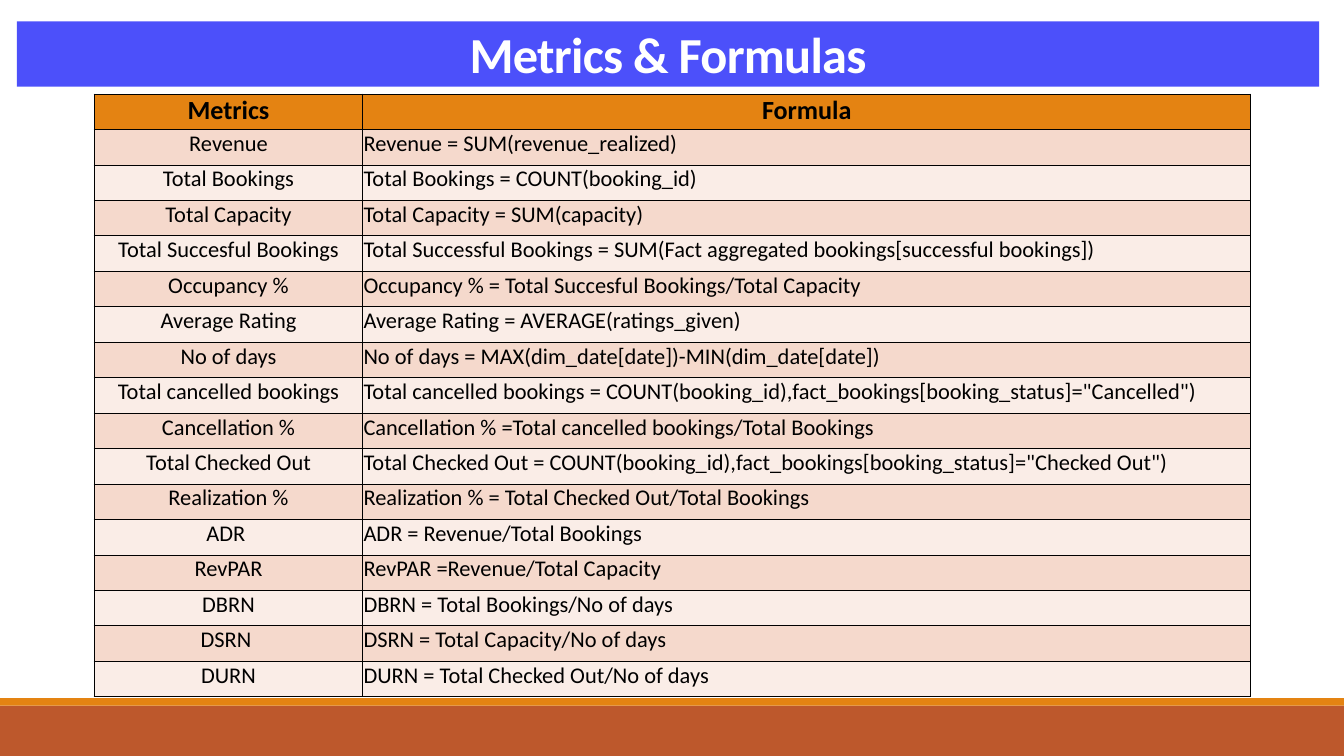
from lxml import etree
from pptx import Presentation
from pptx.dml.color import RGBColor
from pptx.enum.shapes import MSO_SHAPE
from pptx.enum.text import MSO_ANCHOR, PP_ALIGN
from pptx.oxml.ns import qn
from pptx.util import Inches, Pt

RECTANGLE = MSO_SHAPE.RECTANGLE
BOTTOM = MSO_ANCHOR.BOTTOM
LEFT, CENTER = PP_ALIGN.LEFT, PP_ALIGN.CENTER

FONT = "Calibri"
BLACK, WHITE = "000000", "FFFFFF"
BLUE, ORANGE, RUST = "4C50FA", "E48312", "BD582C"
BANDS = ("F5D9CC", "FAEDE7")

HEADINGS = ("Metrics", "Formula")
METRICS = [
    ("Revenue", "Revenue = SUM(revenue_realized)"),
    ("Total Bookings", "Total Bookings = COUNT(booking_id)"),
    ("Total Capacity", "Total Capacity = SUM(capacity)"),
    ("Total Succesful Bookings",
     "Total Successful Bookings = SUM(Fact aggregated bookings[successful bookings])"),
    ("Occupancy %", "Occupancy % = Total Succesful Bookings/Total Capacity"),
    ("Average Rating", "Average Rating = AVERAGE(ratings_given)"),
    ("No of days", "No of days = MAX(dim_date[date])-MIN(dim_date[date])"),
    ("Total cancelled bookings",
     'Total cancelled bookings = COUNT(booking_id),fact_bookings[booking_status]="Cancelled")'),
    ("Cancellation %", "Cancellation % =Total cancelled bookings/Total Bookings"),
    ("Total Checked Out",
     'Total Checked Out = COUNT(booking_id),fact_bookings[booking_status]="Checked Out")'),
    ("Realization %", "Realization % = Total Checked Out/Total Bookings"),
    ("ADR ", "ADR = Revenue/Total Bookings"),
    ("RevPAR", "RevPAR =Revenue/Total Capacity"),
    ("DBRN", "DBRN = Total Bookings/No of days"),
    ("DSRN ", "DSRN = Total Capacity/No of days"),
    ("DURN", "DURN = Total Checked Out/No of days"),
]


def paint(fill, color):
    fill.solid()
    fill.fore_color.rgb = RGBColor.from_string(color)


def write(frame, text, size, color, bold, align):
    frame.text = text
    paragraph = frame.paragraphs[0]
    paragraph.alignment = align
    font = paragraph.runs[0].font
    font.name, font.size, font.bold = FONT, Pt(size), bold
    font.color.rgb = RGBColor.from_string(color)
    return paragraph


def add_band(slide, left, top, width, height, color):
    band = slide.shapes.add_shape(
        RECTANGLE, Inches(left), Inches(top), Inches(width), Inches(height))
    band.shadow.inherit = False
    paint(band.fill, color)
    band.line.fill.background()
    return band


def add_title(slide, text):
    banner = add_band(slide, 0.25, 0.32, 19.38, 0.97, BLUE)
    frame = banner.text_frame
    frame.word_wrap = True
    frame.vertical_anchor = BOTTOM
    paragraph = write(frame, text, 54, WHITE, True, CENTER)
    paragraph.line_spacing = 0.85
    paragraph.runs[0].font._element.set("spc", "-80")


def add_borders(cell, color, width):
    properties = cell._tc.get_or_add_tcPr()
    for side in ("a:lnL", "a:lnR", "a:lnT", "a:lnB"):
        border = etree.SubElement(properties, qn(side), w=str(Pt(width)))
        fill = etree.SubElement(border, qn("a:solidFill"))
        etree.SubElement(fill, qn("a:srgbClr"), val=color)


def fill_cell(cell, text, size, bold, align, color):
    cell.margin_left = cell.margin_right = cell.margin_top = Inches(0.01)
    cell.margin_bottom = 0
    add_borders(cell, BLACK, 1)
    paint(cell.fill, color)
    write(cell.text_frame, text, size, BLACK, bold, align)


def add_metrics_table(slide):
    height = Inches(8.97)
    row_count = len(METRICS) + 1
    table = slide.shapes.add_table(
        row_count, len(HEADINGS), Inches(1.4), Inches(1.4), Inches(17.21), height).table
    for column, width in zip(table.columns, (4, 13.21)):
        column.width = Inches(width)
    for row in table.rows:
        row.height = height // row_count
    for column, heading in enumerate(HEADINGS):
        fill_cell(table.cell(0, column), heading, 28, True, CENTER, ORANGE)
    for index, (metric, formula) in enumerate(METRICS):
        color = BANDS[index % 2]
        fill_cell(table.cell(index + 1, 0), metric, 24, False, CENTER, color)
        fill_cell(table.cell(index + 1, 1), formula, 24, False, LEFT, color)


def main():
    presentation = Presentation()
    presentation.slide_width = Inches(20)
    presentation.slide_height = Inches(11.25)
    slide = presentation.slides.add_slide(presentation.slide_layouts[6])
    add_band(slide, 0, 10.5, 20, 0.75, RUST)
    add_band(slide, 0, 10.39, 20, 0.11, ORANGE)
    add_title(slide, "Metrics & Formulas")
    add_metrics_table(slide)
    presentation.save("out.pptx")


if __name__ == "__main__":
    main()
